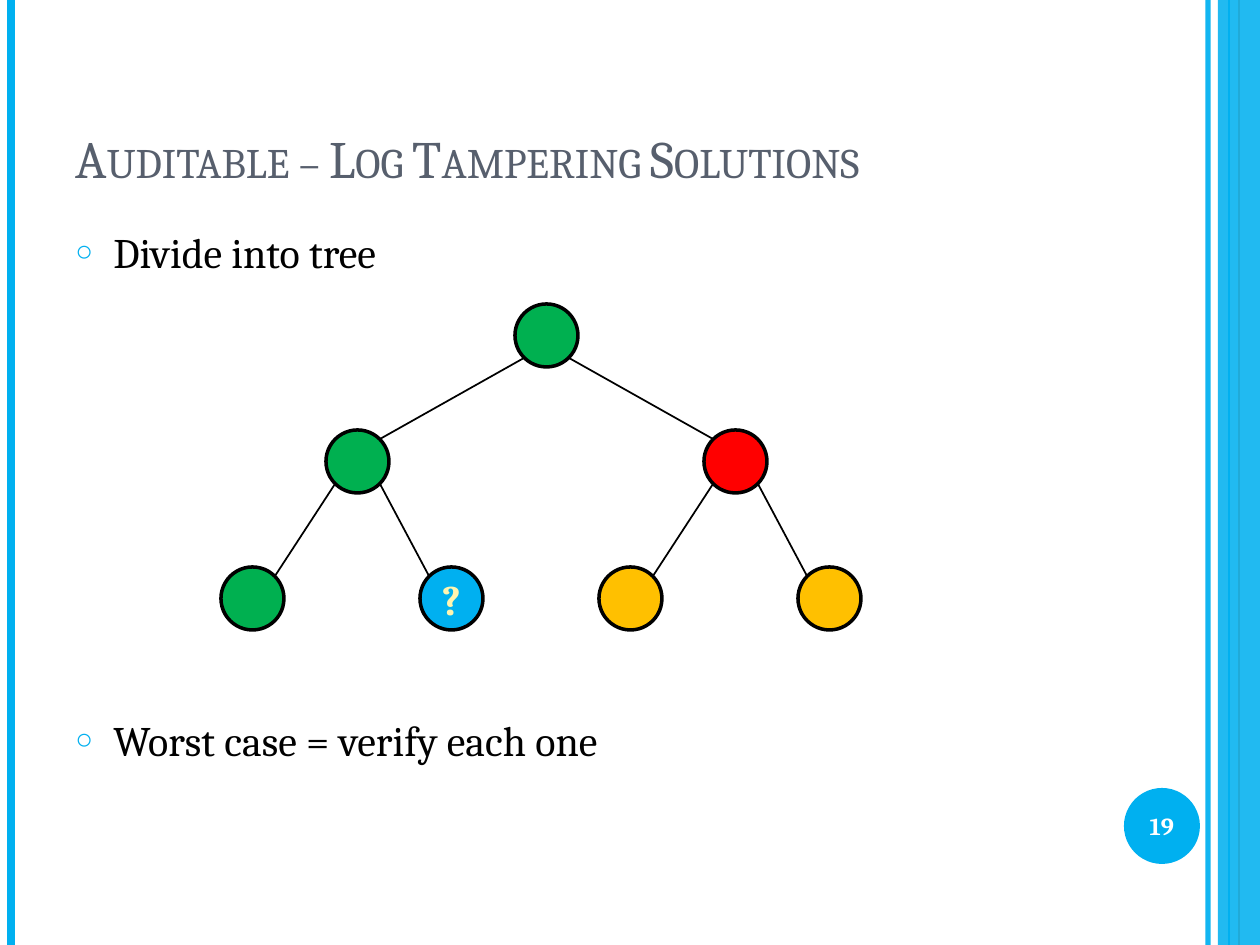
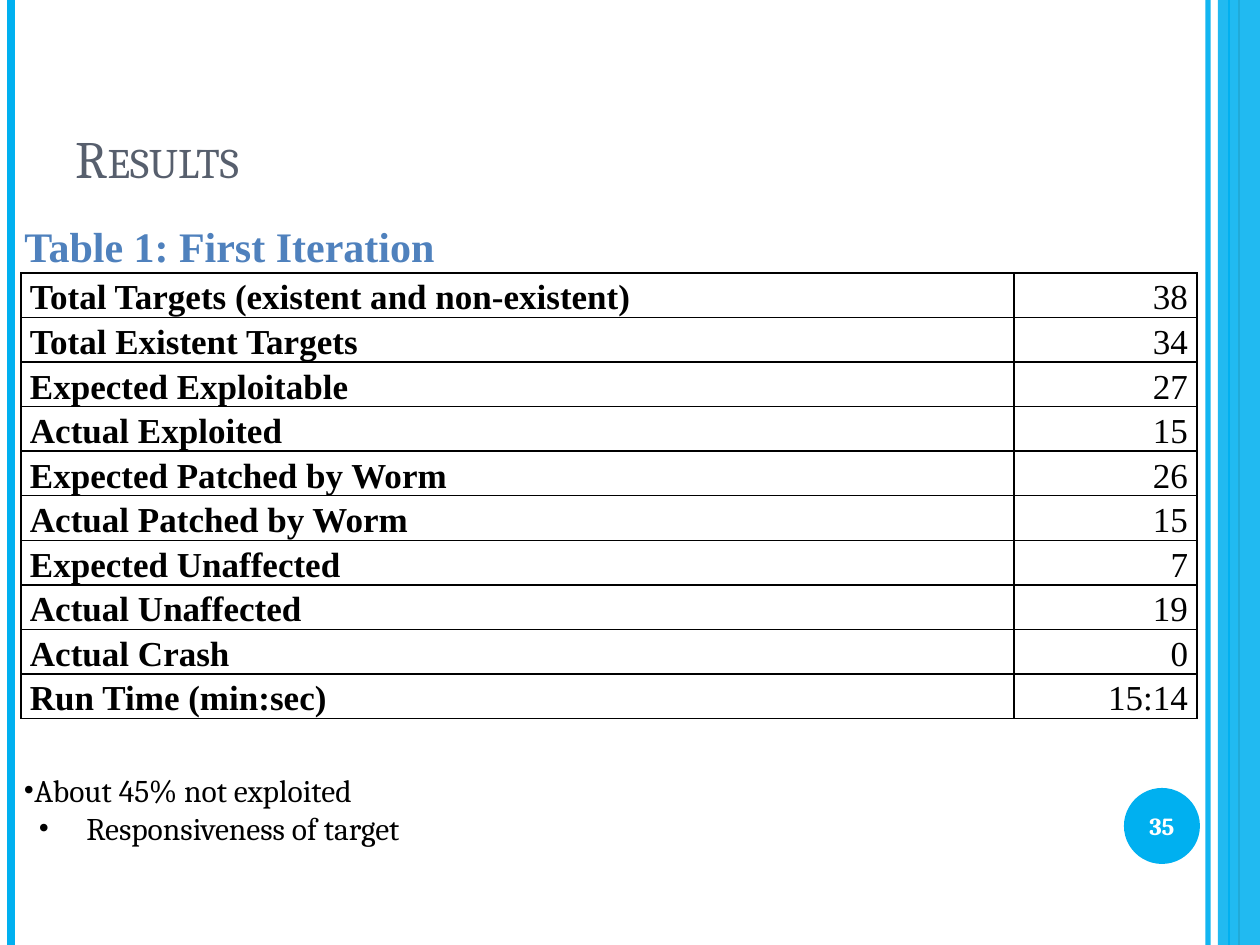
from dataclasses import dataclass
from typing import Any, Optional

from lxml import etree
from pptx import Presentation
from pptx.dml.color import RGBColor
from pptx.enum.shapes import MSO_CONNECTOR, MSO_SHAPE
from pptx.enum.text import MSO_ANCHOR, PP_ALIGN
from pptx.oxml.ns import qn
from pptx.util import Emu, Pt

LINE, OVAL, RECTANGLE = MSO_CONNECTOR.STRAIGHT, MSO_SHAPE.OVAL, MSO_SHAPE.RECTANGLE
TOP, MIDDLE, BOTTOM = MSO_ANCHOR.TOP, MSO_ANCHOR.MIDDLE, MSO_ANCHOR.BOTTOM
LEFT, CENTER, RIGHT = PP_ALIGN.LEFT, PP_ALIGN.CENTER, PP_ALIGN.RIGHT

PX_PER_INCH = 126
SLIDE_WIDTH, SLIDE_HEIGHT = 1260, 945
SERIF, TIMES = "Cambria", "Times New Roman"
COLORS = {
    "accent": "00B0F0", "orange": "FE8637", "title": "575F6D", "text": "000000",
    "white": "FFFFFF", "green": "00B050", "red": "FF0000", "amber": "FFC000",
    "question": "FFF5B0", "caption": "4F81BD",
}
Box = tuple[int, int, int, int]


@dataclass(frozen=True)
class TextStyle:
    size: int
    color: str = "text"
    font: str = SERIF
    bold: bool = False
    small_caps: bool = False


@dataclass(frozen=True)
class Bullet:
    char: str
    margin: int
    indent: int
    color: str = "text"
    percent: int = 100


@dataclass(frozen=True)
class Paragraph:
    text: str
    bullet: Optional[Bullet] = None
    space_before: int = 0
    level: int = 0


@dataclass(frozen=True)
class Rule:
    x: int
    color: str
    weight: float
    opacity: int = 100


@dataclass(frozen=True)
class TreeNode:
    left: int
    top: int
    color: str
    label: str = ""
    children: tuple["TreeNode", ...] = ()


TITLE = TextStyle(30, "title", small_caps=True)
BODY = TextStyle(24)
NOTE = TextStyle(18)
CAPTION = TextStyle(24, "caption", TIMES, bold=True)
PAGE_NUMBER = TextStyle(14, "white", bold=True)
NODE_LABEL = TextStyle(24, "question", bold=True)
RING = Bullet("○", 38, -38, "accent", 70)

OUTER_RULES = (Rule(1208, "accent", 3, 93), Rule(11, "accent", 4.5),
               Rule(1239, "orange", 1.5))
BAND_RULE = Rule(1229, "accent", 0.75)

NODE_SIZE = 63
NODE_CORNER = 9  # distance from the bounding box to the circle on its diagonal
LEVEL_TOPS = (304, 430, 567)


def px(length: int) -> Emu:
    return Emu(round(length * 914400 / PX_PER_INCH))


def rgb(name: str) -> RGBColor:
    return RGBColor.from_string(COLORS[name])


def set_values(target: Any, values: dict[str, Any]) -> None:
    for name, value in values.items():
        setattr(target, name, value)


def set_opacity(element: Any, percent: int) -> None:
    if percent < 100:
        color = next(element.iter(qn("a:srgbClr")))
        etree.SubElement(color, qn("a:alpha"), val=str(percent * 1000))


# Text
def add_run(paragraph: Any, text: str, style: TextStyle) -> None:
    run = paragraph.add_run()
    run.text = text
    set_values(run.font, {"name": style.font, "size": Pt(style.size), "bold": style.bold})
    run.font.color.rgb = rgb(style.color)
    if style.small_caps:
        run.font._element.set("cap", "small")


def add_bullet(paragraph: Any, bullet: Bullet) -> None:
    properties = paragraph._p.get_or_add_pPr()
    properties.set("marL", str(px(bullet.margin)))
    properties.set("indent", str(px(bullet.indent)))
    color = etree.SubElement(properties, qn("a:buClr"))
    etree.SubElement(color, qn("a:srgbClr"), val=COLORS[bullet.color])
    etree.SubElement(properties, qn("a:buSzPct"), val=str(bullet.percent * 1000))
    etree.SubElement(properties, qn("a:buFont"), typeface=TIMES)
    etree.SubElement(properties, qn("a:buChar"), char=bullet.char)


def add_text(slide: Any, box: Box, paragraphs: list[Paragraph], style: TextStyle,
             anchor: Any = TOP) -> None:
    frame = slide.shapes.add_textbox(*map(px, box)).text_frame
    set_values(frame, {"word_wrap": True, "vertical_anchor": anchor})
    for index, item in enumerate(paragraphs):
        paragraph = frame.add_paragraph() if index else frame.paragraphs[0]
        set_values(paragraph, {"level": item.level, "space_before": Pt(item.space_before)})
        if item.bullet:
            add_bullet(paragraph, item.bullet)
        add_run(paragraph, item.text, style)


# Shapes and lines
def add_filled(slide: Any, kind: Any, box: Box, color: str, opacity: int = 100) -> Any:
    shape = slide.shapes.add_shape(kind, *map(px, box))
    shape.shadow.inherit = False
    shape.fill.solid()
    shape.fill.fore_color.rgb = rgb(color)
    set_opacity(shape._element.spPr, opacity)
    shape.line.fill.background()
    return shape


def add_label(shape: Any, text: str, style: TextStyle) -> None:
    frame = shape.text_frame
    margins = dict.fromkeys(
        ("margin_left", "margin_top", "margin_right", "margin_bottom"), 0)
    set_values(frame, {**margins, "word_wrap": False, "vertical_anchor": MIDDLE})
    frame.paragraphs[0].alignment = CENTER
    add_run(frame.paragraphs[0], text, style)


def add_line(slide: Any, start: tuple[int, int], end: tuple[int, int], color: str,
             weight: float, opacity: int = 100) -> None:
    line = slide.shapes.add_connector(LINE, *map(px, start + end))
    line.line.color.rgb = rgb(color)
    line.line.width = Pt(weight)
    properties = line._element.spPr
    set_opacity(properties, opacity)
    etree.SubElement(properties, qn("a:effectLst"))


def add_rule(slide: Any, rule: Rule) -> None:
    add_line(slide, (rule.x, 0), (rule.x, SLIDE_HEIGHT), rule.color, rule.weight,
             rule.opacity)


# Shared frame: side rules, band, page number and title
def add_base_slide(presentation: Any, title: str, number: int) -> Any:
    slide = presentation.slides.add_slide(presentation.slide_layouts[6])
    slide.background.fill.solid()
    slide.background.fill.fore_color.rgb = rgb("white")
    for rule in OUTER_RULES:
        add_rule(slide, rule)
    add_filled(slide, RECTANGLE, (1218, 0, 42, SLIDE_HEIGHT), "accent", 87)
    add_rule(slide, BAND_RULE)
    badge = add_filled(slide, OVAL, (1124, 788, 76, 76), "accent")
    add_label(badge, str(number), PAGE_NUMBER)
    add_text(slide, (63, 38, 1029, 157), [Paragraph(title)], TITLE, BOTTOM)
    return slide


# Tree: each branch joins the facing diagonal points of two circles
def add_tree(slide: Any, node: TreeNode) -> None:
    near, far = NODE_CORNER, NODE_SIZE - NODE_CORNER
    circle = add_filled(slide, OVAL, (node.left, node.top, NODE_SIZE, NODE_SIZE),
                        node.color)
    circle.line.color.rgb = rgb("text")
    circle.line.width = Pt(2)
    if node.label:
        add_label(circle, node.label, NODE_LABEL)
    for child in node.children:
        goes_left = child.left < node.left
        start_x, end_x = (near, far) if goes_left else (far, near)
        add_line(slide, (node.left + start_x, node.top + far),
                 (child.left + end_x, child.top + near), "text", 1)
        add_tree(slide, child)


def branch(left: int, color: str, leaves: tuple[tuple[str, str], ...]) -> TreeNode:
    children = tuple(TreeNode(left + offset, LEVEL_TOPS[2], leaf_color, label)
                     for offset, (leaf_color, label) in zip((-105, 94), leaves))
    return TreeNode(left, LEVEL_TOPS[1], color, children=children)


def build_tree_slide(presentation: Any) -> None:
    slide = add_base_slide(presentation, "Auditable – Log Tampering Solutions", 19)
    add_text(slide, (63, 220, 1029, 672), [
        Paragraph("Divide into tree", RING, 6),
        Paragraph("Worst case = verify each one", RING, 250),
    ], BODY)
    add_tree(slide, TreeNode(515, LEVEL_TOPS[0], "green", children=(
        branch(326, "green", (("green", ""), ("accent", "?"))),
        branch(704, "red", (("amber", ""), ("amber", ""))),
    )))


# Results table
def add_borders(cell: Any) -> None:
    properties = cell._tc.get_or_add_tcPr()
    for index, side in enumerate(("a:lnL", "a:lnR", "a:lnT", "a:lnB")):
        border = etree.Element(qn(side), w=str(Pt(1)))
        fill = etree.SubElement(border, qn("a:solidFill"))
        etree.SubElement(fill, qn("a:srgbClr"), val=COLORS["text"])
        properties.insert(index, border)


def add_results_table(slide: Any, rows: list[tuple[str, str]]) -> None:
    row_height, column_widths = 40, (993, 183)
    box = (21, 273, sum(column_widths), row_height * len(rows))
    table = slide.shapes.add_table(len(rows), len(column_widths), *map(px, box)).table
    set_values(table, {"first_row": False, "horz_banding": False})
    for column, width in zip(table.columns, column_widths):
        column.width = px(width)
    cell_format = {"margin_left": px(9), "margin_right": px(9), "margin_top": 0,
                   "margin_bottom": 0, "vertical_anchor": BOTTOM}
    for row_index, values in enumerate(rows):
        for column_index, value in enumerate(values):
            is_name = column_index == 0
            cell = table.cell(row_index, column_index)
            set_values(cell, cell_format)
            cell.fill.background()
            add_borders(cell)
            paragraph = cell.text_frame.paragraphs[0]
            set_values(paragraph, {"alignment": LEFT if is_name else RIGHT,
                                   "line_spacing": 1.06})
            add_run(paragraph, value, TextStyle(20, font=TIMES, bold=is_name))


def build_results_slide(presentation: Any) -> None:
    slide = add_base_slide(presentation, "Results", 35)
    add_results_table(slide, [
        ("Total Targets (existent and non-existent)", "38"),
        ("Total Existent Targets", "34"),
        ("Expected Exploitable", "27"),
        ("Actual Exploited", "15"),
        ("Expected Patched by Worm", "26"),
        ("Actual Patched by Worm", "15"),
        ("Expected Unaffected", "7"),
        ("Actual Unaffected", "19"),
        ("Actual Crash", "0"),
        ("Run Time (min:sec)", "15:14"),
    ])
    add_text(slide, (12, 214, 450, 63), [Paragraph("Table 1: First Iteration")],
             CAPTION, MIDDLE)
    add_text(slide, (11, 765, 1239, 127), [
        Paragraph("About 45% not exploited", Bullet("•", 0, -48)),
        Paragraph("Responsiveness of target", Bullet("•", 63, -48), level=1),
    ], NOTE)


def main() -> None:
    presentation = Presentation()
    set_values(presentation, {"slide_width": px(SLIDE_WIDTH),
                              "slide_height": px(SLIDE_HEIGHT)})
    build_tree_slide(presentation)
    build_results_slide(presentation)
    presentation.save("out.pptx")


if __name__ == "__main__":
    main()
